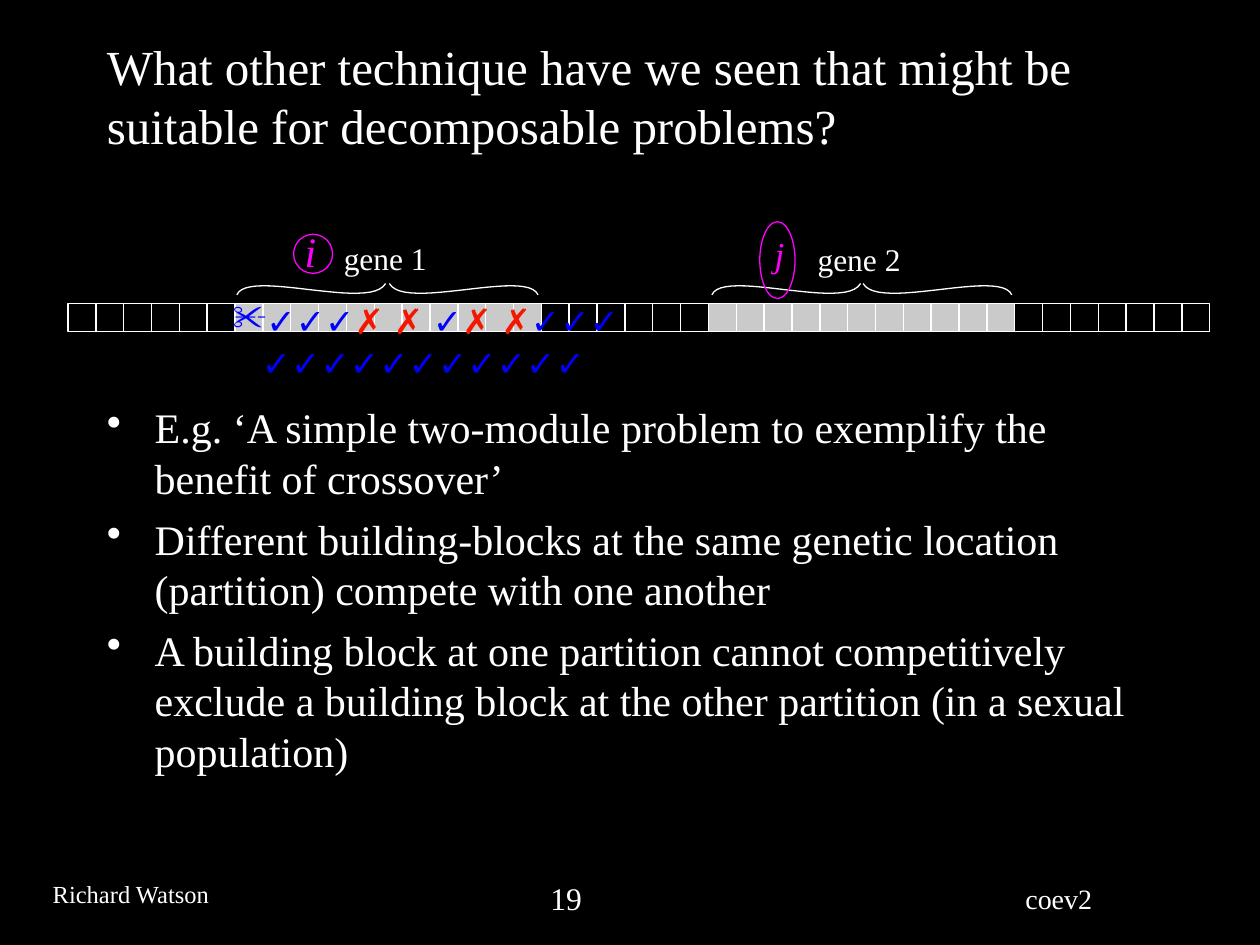
"""Build a slide on building blocks and crossover in a two-gene genome."""
import lxml.etree
import pptx
import pptx.dml.color
import pptx.enum.shapes
import pptx.enum.text
import pptx.oxml.ns
import pptx.util

Inches = pptx.util.Inches
Pt = pptx.util.Pt
SERIF = "Times New Roman"
WHITE, GREY, BLUE, RED, PINK = "FFFFFF", "CACACA", "0000FF", "F41700", "FF00FF"
colour = pptx.dml.color.RGBColor.from_string


def add_text(page, place, paragraphs, size, ink=WHITE, face=SERIF, bullet=None, indent=0):
    """Add a text box whose paragraphs are lists of (words, colour) or plain strings."""
    box = page.shapes.add_textbox(*map(Inches, place))
    frame = box.text_frame
    frame.word_wrap = True
    for number, content in enumerate(paragraphs):
        para = frame.paragraphs[0] if number == 0 else frame.add_paragraph()
        if bullet:
            para.space_before = Pt(6)
            props = para._p.get_or_add_pPr()
            props.set("marL", str(Inches(indent)))
            props.set("indent", str(-Inches(indent)))
            tint = lxml.etree.SubElement(props, pptx.oxml.ns.qn("a:buClr"))
            lxml.etree.SubElement(tint, pptx.oxml.ns.qn("a:srgbClr"), val=ink)
            lxml.etree.SubElement(props, pptx.oxml.ns.qn("a:buChar"), char=bullet)
        para.font.name = face
        para.font.size = Pt(size)
        para.font.color.rgb = colour(ink)
        if isinstance(content, str):
            para.text = content
            continue
        for words, tone in content:
            if words == "\n":
                para.add_line_break()
                continue
            span = para.add_run()
            span.text = words
            span.font.color.rgb = colour(tone)
    return box


def finish(shape, line, fill=None):
    """Give a shape a thin outline and an optional fill."""
    shape.shadow.inherit = False
    shape.line.color.rgb = colour(line)
    shape.line.width = Pt(0.75)
    if fill:
        shape.fill.solid()
        shape.fill.fore_color.rgb = colour(fill)
    else:
        shape.fill.background()


deck = pptx.Presentation()
deck.slide_width, deck.slide_height = Inches(10), Inches(7.5)
page = deck.slides.add_slide(deck.slide_layouts[6])
page.background.fill.solid()
page.background.fill.fore_color.rgb = colour("000000")

add_text(page, (8.04, 6.95, 1.9, 0.36), ["coev2"], 16)
add_text(page, (0.32, 6.93, 1.6, 0.34), ["Richard Watson"], 14)
add_text(page, (4.27, 6.93, 1.24, 0.4), ["19"], 18)

title = add_text(page, (0.75, 0.41, 8.5, 1.17), [
    "What other technique have we seen that might be suitable for decomposable problems?",
], 28)
title.text_frame.vertical_anchor = pptx.enum.text.MSO_ANCHOR.MIDDLE
title.text_frame.margin_bottom = Inches(0.52)

add_text(page, (0.75, 3.14, 8.5, 3.78), [
    "E.g. ‘A simple two-module problem to exemplify the benefit of crossover’",
    "Different building-blocks at the same genetic location (partition) compete with one another",
    "A building block at one partition cannot competitively exclude a building block "
    "at the other partition (in a sexual population)",
], 24, bullet="•", indent=0.38)

brace_x = (0, 0.09, 1.06, 1.18)
brace_y = (2.34, 2.13, 2.47, 2.25)
steps = 24
for left, right in ((1.88, 4.27), (5.65, 8.03)):
    for start, direction in ((left, 1), (right, -1)):
        points = []
        for step in range(steps + 1):
            t = step / steps
            weights = ((1 - t) ** 3, 3 * t * (1 - t) ** 2, 3 * t ** 2 * (1 - t), t ** 3)
            x = start + direction * sum(w * v for w, v in zip(weights, brace_x))
            y = sum(w * v for w, v in zip(weights, brace_y))
            points.append((Inches(x), Inches(y)))
        builder = page.shapes.build_freeform(*points[0])
        builder.add_line_segments(points[1:], close=False)
        finish(builder.convert_to_shape(), WHITE)

add_text(page, (2.63, 1.85, 0.95, 0.4), ["gene 1"], 18)
add_text(page, (6.39, 1.86, 0.95, 0.4), ["gene 2"], 18)

cell_size, cell_pitch = 0.22, 8.84 / 40
for index in range(41):
    cell = page.shapes.add_shape(
        pptx.enum.shapes.MSO_SHAPE.RECTANGLE, Inches(0.54 + index * cell_pitch),
        Inches(2.41), Inches(cell_size), Inches(cell_size))
    in_gene = 6 <= index <= 16 or 23 <= index <= 33
    finish(cell, WHITE, GREY if in_gene else None)

add_text(page, (1.75, 2.33, 6.76, 0.77), [[
    ("✓✓✓", BLUE), ("✗ ✗ ", RED), ("✓", BLUE), ("✗ ✗", RED),
    ("✓✓✓", BLUE), ("\n", BLUE), ("✓✓✓✓✓✓✓✓✓✓✓", BLUE),
]], 20, ink=BLUE, face="Arial", bullet="✂", indent=0.23)

for letter, size, place, ring in (
    ("i", 24, (2.32, 1.74, 0.37, 0.5), (2.33, 1.86, 0.31, 0.31)),
    ("j", 20, (6.05, 1.8, 0.37, 0.44), (6.03, 1.76, 0.28, 0.61)),
):
    label = add_text(page, place, [letter], size, ink=PINK)
    label.text_frame.paragraphs[0].font.italic = True
    oval = page.shapes.add_shape(pptx.enum.shapes.MSO_SHAPE.OVAL, *map(Inches, ring))
    finish(oval, PINK)

deck.save("out.pptx")
